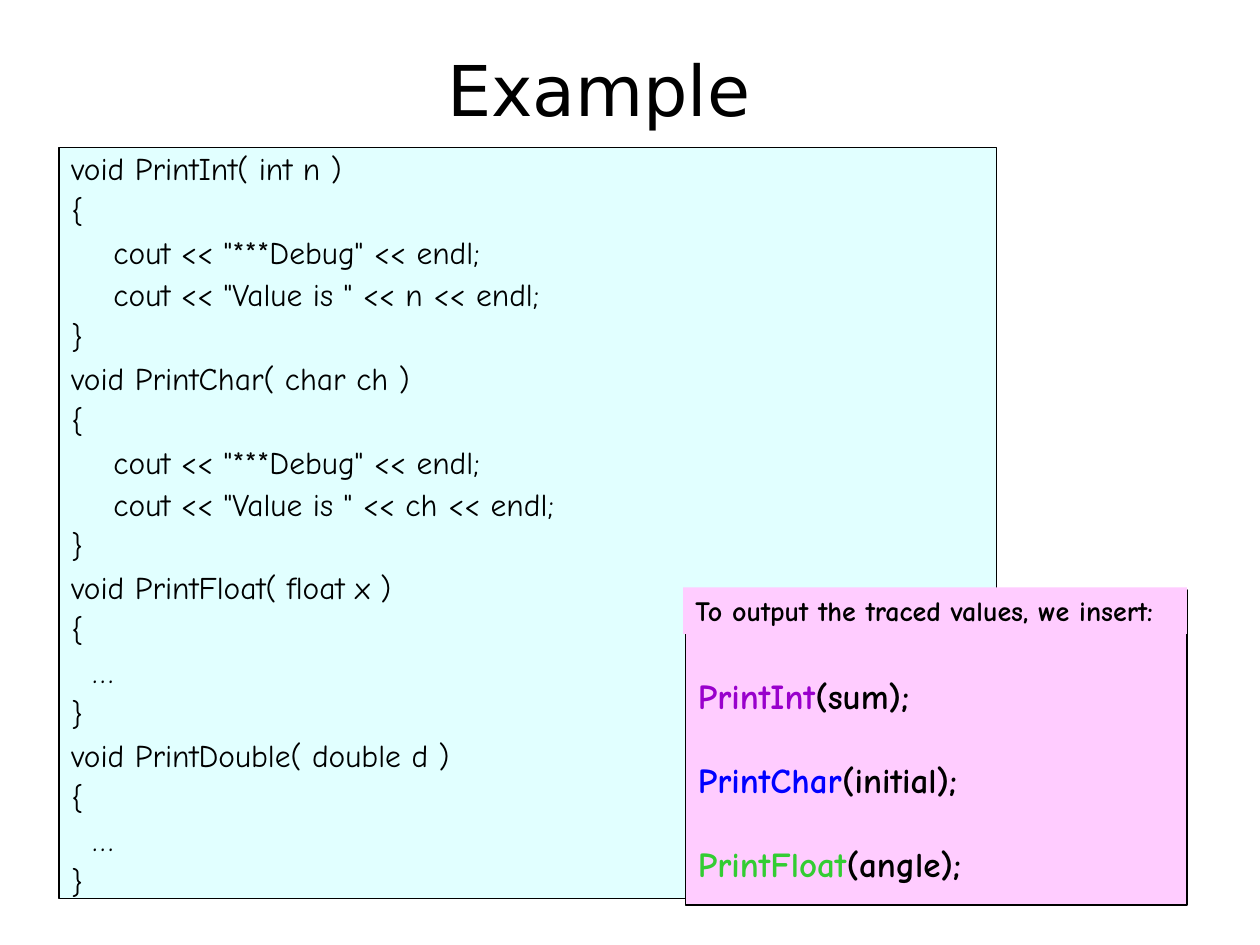
from pptx import Presentation
from pptx import util as u
from pptx.dml.color import RGBColor
from pptx.enum import shapes, text

COLORS = {
    "ink": "000000",
    "code": "E1FFFF",
    "trace": "FFCCFF",
    "int": "9900CC",
    "char": "0000FF",
    "float": "33CC33",
}
BODY_FONT = "Comic Neue"
TITLE_FONT = "DejaVu Sans"

CODE = """void PrintInt( int n )
{
    cout << "***Debug" << endl;
    cout << "Value is " << n << endl;
}
void PrintChar( char ch )
{
    cout << "***Debug" << endl;
    cout << "Value is " << ch << endl;
}
void PrintFloat( float x )
{
  …
}
void PrintDouble( double d )
{
  …
}"""

CALLS = [
    ("PrintInt", "int", "(sum);"),
    ("PrintChar", "char", "(initial);"),
    ("PrintFloat", "float", "(angle);"),
]


def color(name):
    return RGBColor.from_string(COLORS[name])


def add_run(paragraph, wording, size, font=BODY_FONT, ink="ink", bold=False):
    run = paragraph.add_run()
    run.text = wording
    run.font.size = u.Pt(size)
    run.font.name = font
    run.font.bold = bold
    run.font.color.rgb = color(ink)


def add_panel(slide, left, top, width, height, fill, line_width=None):
    panel = slide.shapes.add_shape(
        shapes.MSO_SHAPE.RECTANGLE,
        u.Cm(left), u.Cm(top), u.Cm(width), u.Cm(height))
    panel.shadow.inherit = False
    panel.fill.solid()
    panel.fill.fore_color.rgb = color(fill)
    if line_width:
        panel.line.color.rgb = color("ink")
        panel.line.width = u.Pt(line_width)
    else:
        panel.line.fill.background()
    frame = panel.text_frame
    frame.word_wrap = True
    frame.vertical_anchor = text.MSO_ANCHOR.TOP
    return frame


def add_paragraph(frame, index, space_before=0, align=text.PP_ALIGN.LEFT):
    paragraph = frame.add_paragraph() if index else frame.paragraphs[0]
    paragraph.alignment = align
    if index:
        paragraph.space_before = u.Pt(space_before)
    return paragraph


def add_title(slide, wording):
    box = slide.shapes.add_textbox(u.Cm(0.64), u.Cm(0.81), u.Cm(22.86), u.Cm(2.16))
    box.text_frame.word_wrap = True
    paragraph = add_paragraph(box.text_frame, 0, align=text.PP_ALIGN.CENTER)
    add_run(paragraph, wording, 40, font=TITLE_FONT)


def add_code(slide):
    frame = add_panel(slide, 1.19, 2.97, 18.9, 15.14, "code", 0.75)
    for index, line in enumerate(CODE.splitlines()):
        paragraph = add_paragraph(frame, index, 4.5, text.PP_ALIGN.JUSTIFY)
        paragraph.line_spacing = 0.9
        add_run(paragraph, line, 18)


def add_calls(slide):
    frame = add_panel(slide, 13.82, 11.89, 10.11, 6.35, "trace", 1)
    frame.vertical_anchor = text.MSO_ANCHOR.BOTTOM
    frame.margin_bottom = u.Cm(0.4)
    for index, (function, ink, argument) in enumerate(CALLS):
        paragraph = add_paragraph(frame, index, 24)
        add_run(paragraph, function, 20, ink=ink, bold=True)
        add_run(paragraph, argument, 20, bold=True)


def add_heading(slide, wording):
    frame = add_panel(slide, 13.77, 11.84, 10.16, 0.94, "trace")
    add_run(add_paragraph(frame, 0), wording, 16, bold=True)


def main():
    presentation = Presentation()
    presentation.slide_width = u.Cm(25.4)
    presentation.slide_height = u.Cm(19.05)
    slide = presentation.slides.add_slide(presentation.slide_layouts[6])
    add_title(slide, "Example")
    add_code(slide)
    add_calls(slide)
    add_heading(slide, "To output the traced values, we insert:")
    presentation.save("out.pptx")


if __name__ == "__main__":
    main()
